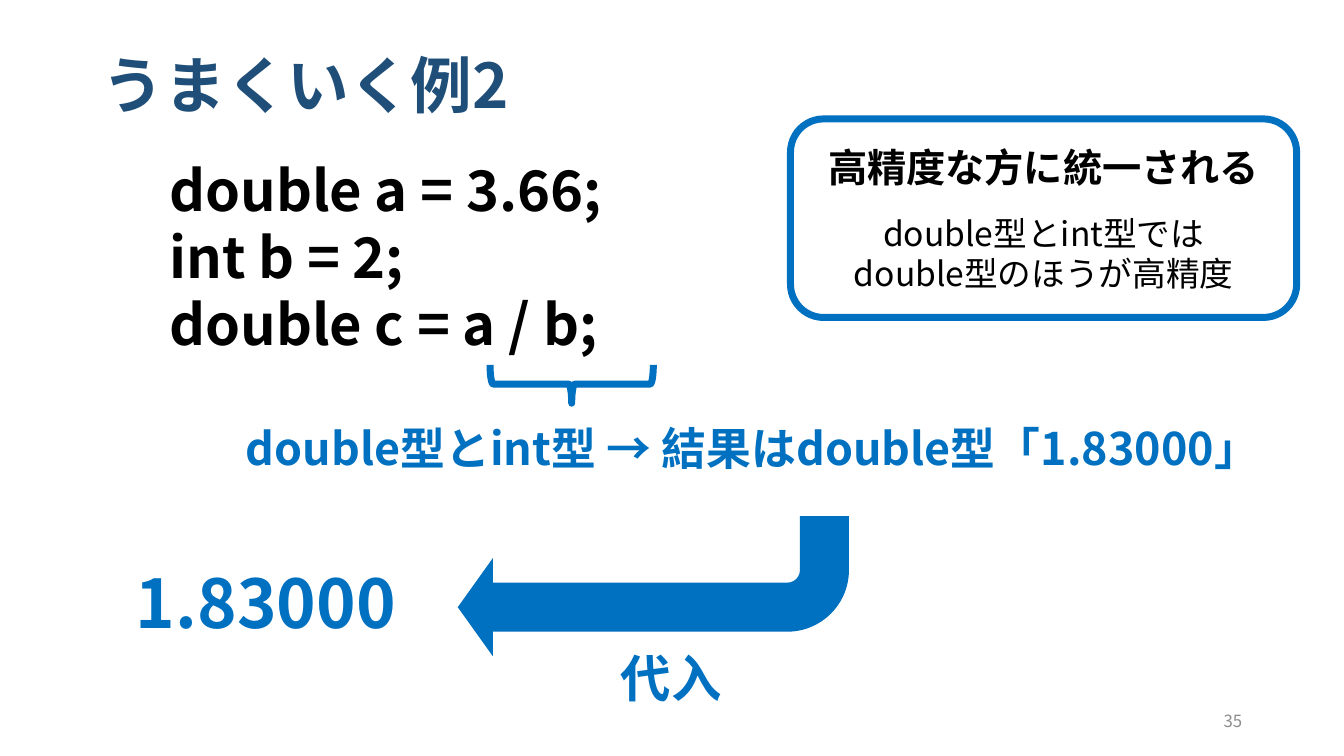
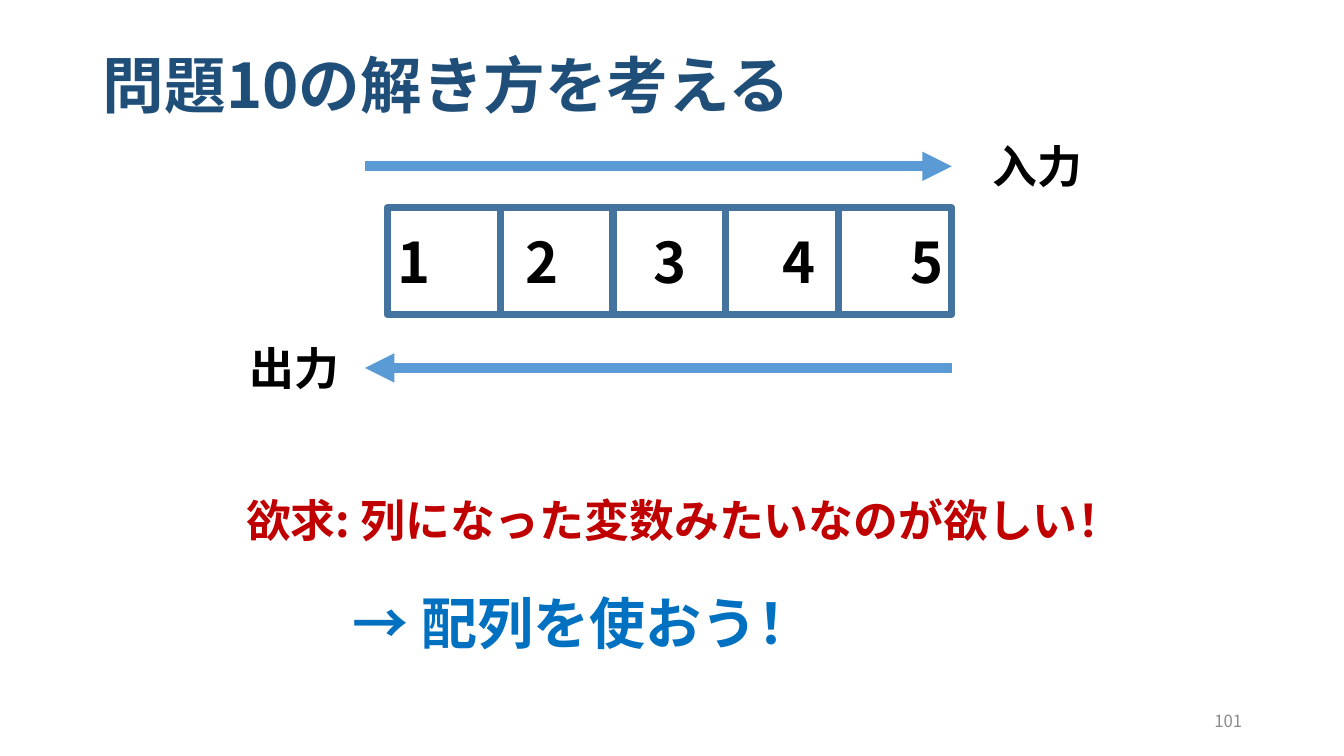
from lxml import etree
from pptx import Presentation
from pptx.dml.color import RGBColor
from pptx.enum.shapes import MSO_CONNECTOR, MSO_SHAPE
from pptx.enum.text import MSO_ANCHOR, MSO_AUTO_SIZE, PP_ALIGN
from pptx.oxml.ns import qn
from pptx.util import Pt

PX = 9144  # one px is a hundredth of an inch
WIDE, HIGH = 1333, 750
FONT = "Noto Sans CJK JP"
LEAD = 1.2  # line pitch as a share of the text size
COLOR = {
    "title": "1F4E79", "text": "000000", "accent": "0070C0", "wish": "C00000",
    "cell": "43739E", "arrow": "5B9BD5", "page": "8C8C8C",
}
LEFT, CENTER, RIGHT = PP_ALIGN.LEFT, PP_ALIGN.CENTER, PP_ALIGN.RIGHT
TOP, MIDDLE = MSO_ANCHOR.TOP, MSO_ANCHOR.MIDDLE
STRAIGHT = MSO_CONNECTOR.STRAIGHT
RECT, ROUND = MSO_SHAPE.RECTANGLE, MSO_SHAPE.ROUNDED_RECTANGLE
BRACE, BENT = MSO_SHAPE.RIGHT_BRACE, MSO_SHAPE.BENT_ARROW


def rgb(name):
    return RGBColor.from_string(COLOR[name])


def emu(*px):
    return [n * PX for n in px]


# Text
def write(frame, text, size=32, color="text", bold=True, align=LEFT,
          before=0, indent=0):
    """Add one paragraph, filling the empty first one if there is one."""
    para = frame.paragraphs[0]
    if para.runs:
        para = frame.add_paragraph()
    para.alignment = align
    para.line_spacing = Pt(round(size * LEAD, 1))
    para.space_before, para.space_after = Pt(before), Pt(0)
    props = para._p.get_or_add_pPr()
    props.set("marL", str(indent * PX))
    props.set("indent", "0")
    etree.SubElement(props, qn("a:buNone"))
    run = para.add_run()
    run.text = text
    font = run.font
    font.name, font.size, font.bold = FONT, Pt(size), bold
    font.color.rgb = rgb(color)
    east = etree.SubElement(run._r.get_or_add_rPr(), qn("a:ea"))
    east.set("typeface", FONT)


def setup(frame, anchor=TOP):
    frame.word_wrap = True
    frame.auto_size = MSO_AUTO_SIZE.NONE
    frame.vertical_anchor = anchor
    return frame


def label(slide, text, box, anchor=TOP, **form):
    shape = slide.shapes.add_textbox(*emu(*box))
    write(setup(shape.text_frame, anchor), text, **form)


def place(holder, box, anchor=TOP):
    holder.left, holder.top, holder.width, holder.height = emu(*box)
    return setup(holder.text_frame, anchor)


# Shapes
def shape(slide, kind, box, line=None, fill=None, turn=0, adjust=()):
    item = slide.shapes.add_shape(kind, *emu(*box))
    item.shadow.inherit = False
    item.rotation = turn
    for i, value in enumerate(adjust):
        item.adjustments[i] = value
    if fill:
        item.fill.solid()
        item.fill.fore_color.rgb = rgb(fill)
    else:
        item.fill.background()
    if line:
        item.line.color.rgb = rgb(line)
        item.line.width = Pt(5)
    else:
        item.line.fill.background()
    return item


def arrow(slide, start, end, y):
    item = slide.shapes.add_connector(STRAIGHT, *emu(start, y, end, y))
    item.line.color.rgb = rgb("arrow")
    item.line.width = Pt(7)
    tip = etree.SubElement(item.line._get_or_add_ln(), qn("a:tailEnd"))
    tip.set("type", "triangle")
    etree.SubElement(item._element.spPr, qn("a:effectLst"))


def cells(slide, items, left, top, width, height):
    """Draw a row of cells whose text drifts from left to right."""
    for i, text in enumerate(items):
        cell = shape(slide, RECT, (left + i * width, top, width, height),
                     line="cell")
        frame = setup(cell.text_frame, MIDDLE)
        drift = 15 * (2 * i - len(items) + 1) + 2
        frame.margin_left, frame.margin_right = emu(max(drift, 0),
                                                    max(-drift, 0))
        write(frame, text, size=40, align=CENTER)


# Slides
def start(deck, title, page, body):
    """Add a slide with title and page number; return it and its body."""
    slide = deck.slides.add_slide(deck.slide_layouts[1])
    head = place(slide.shapes.title, (92, 40, 1150, 87), MIDDLE)
    write(head, title, size=44, color="title")
    label(slide, page, (942, 695, 300, 40), MIDDLE, size=12, color="page",
          bold=False, align=RIGHT)
    return slide, place(slide.placeholders[1], body)


def divide(deck):
    slide, body = start(deck, "うまくいく例2", "35", (92, 149, 660, 220))
    for code in ("double a = 3.66;", "int b = 2;", "double c = a / b;"):
        write(body, code, size=40, indent=66)

    # Rule on precision
    note = shape(slide, ROUND, (784, 118, 502, 197), line="accent")
    frame = setup(note.text_frame, MIDDLE)
    write(frame, "高精度な方に統一される", size=28, align=CENTER)
    for text, gap in (("double型とint型では", 16), ("double型のほうが高精度", 0)):
        write(frame, text, size=24, bold=False, align=CENTER, before=gap)

    # Result and assignment
    shape(slide, BRACE, (548, 300, 38, 162), line="accent", turn=90)
    label(slide, "double型とint型 → 結果はdouble型「1.83000」",
          (234, 412, 1099, 64), color="accent")
    shape(slide, BENT, (454, 512, 388, 139), fill="accent", turn=180,
          adjust=(0.35, 0.35, 0.25, 0.44))
    label(slide, "代入", (606, 637, 402, 71), size=36, color="accent")
    label(slide, "1.83000", (125, 552, 335, 91), size=48, color="accent")


def array(deck):
    slide, body = start(deck, "問題10の解き方を考える", "101",
                        (234, 484, 1008, 192))
    write(body, "欲求: 列になった変数みたいなのが欲しい！", color="wish")
    write(body, "→ 配列を使おう！", size=40, color="accent", before=30,
          indent=106)

    # Row of values with input and output order
    cells(slide, "12345", 384, 206, 112, 106)
    arrow(slide, 362, 944, 165)
    arrow(slide, 944, 362, 365)
    label(slide, "入力", (975, 133, 124, 64))
    label(slide, "出力", (238, 333, 124, 64))


def main():
    deck = Presentation()
    deck.slide_width, deck.slide_height = emu(WIDE, HIGH)
    divide(deck)
    array(deck)
    deck.save("out.pptx")


if __name__ == "__main__":
    main()
